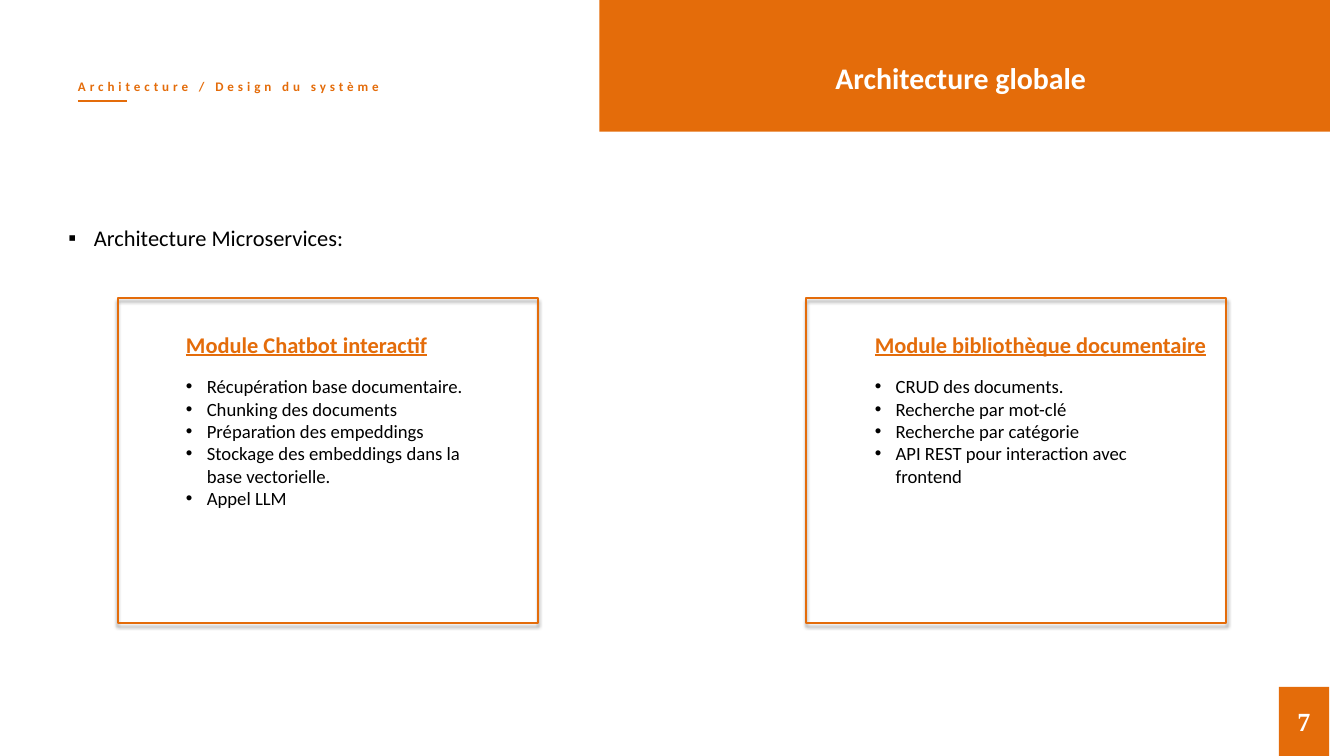
from dataclasses import dataclass
from typing import NamedTuple

from lxml.etree import SubElement
from pptx import Presentation
from pptx.dml.color import RGBColor
from pptx.enum.shapes import MSO_CONNECTOR, MSO_SHAPE
from pptx.enum.text import MSO_ANCHOR as Anchor, MSO_AUTO_SIZE as AutoSize, PP_ALIGN as Align
from pptx.oxml.ns import qn
from pptx.util import Inches, Pt

COLUMNS, ROWS = 80, 45
SLIDE_WIDTH, SLIDE_HEIGHT = Inches(20), Inches(11.25)
COMPARISON_LAYOUT = 4


@dataclass(frozen=True)
class Theme:
    accent: str = "E46C0A"
    ink: str = "000000"
    paper: str = "FFFFFF"
    body_font: str = "Calibri"
    number_font: str = "Times New Roman"
    title: int = 32
    number: int = 28
    heading: int = 24
    item: int = 20
    tag: int = 14


class Area(NamedTuple):
    """A place on the grid, in columns and rows."""
    column: float
    row: float
    columns: float
    rows: float

    def emu(self) -> tuple[int, int, int, int]:
        return (across(self.column), down(self.row), across(self.columns), down(self.rows))


class Bullet(NamedTuple):
    mark: str
    indent: float


@dataclass(frozen=True)
class Module:
    heading: str
    heading_columns: float
    column: float
    items: tuple[str, ...]


THEME = Theme()
SQUARE, DOT = Bullet("▪", 0.38), Bullet("•", 0.31)
MODULES = (
    Module("Module Chatbot interactif", 15.6, 7, (
        "Récupération base documentaire.",
        "Chunking des documents",
        "Préparation des empeddings",
        "Stockage des embeddings dans la base vectorielle.",
        "Appel LLM",
    )),
    Module("Module bibliothèque documentaire", 20.72, 48, (
        "CRUD des documents.",
        "Recherche par mot-clé",
        "Recherche par catégorie",
        "API REST pour interaction avec frontend",
    )),
)


def across(columns: float) -> int:
    return round(SLIDE_WIDTH * columns / COLUMNS)


def down(rows: float) -> int:
    return round(SLIDE_HEIGHT * rows / ROWS)


def color(code: str) -> RGBColor:
    return RGBColor.from_string(code)


def add_bullet(paragraph, bullet: Bullet) -> None:
    properties = paragraph._p.get_or_add_pPr()
    properties.set("marL", str(Inches(bullet.indent)))
    properties.set("indent", str(-Inches(bullet.indent)))
    SubElement(properties, qn("a:buFont"), typeface="Arial")
    SubElement(properties, qn("a:buChar"), char=bullet.mark)


def write(shape, *lines: str, size: int, ink: str = THEME.ink, font: str = THEME.body_font,
          bold: bool = False, underline: bool = False, tracking: float = 0,
          align: Align = Align.LEFT, anchor: Anchor = Anchor.TOP, wrap: bool = True,
          grow: bool = True, margin: float | None = None, bullet: Bullet | None = None) -> None:
    """Fill a shape with one formatted paragraph per line."""
    frame = shape.text_frame
    frame.word_wrap, frame.vertical_anchor = wrap, anchor
    frame.auto_size = AutoSize.SHAPE_TO_FIT_TEXT if grow else AutoSize.NONE
    if margin is not None:
        frame.margin_left = frame.margin_right = Inches(margin)
        frame.margin_top = frame.margin_bottom = Inches(margin)
    for index, line in enumerate(lines):
        paragraph = frame.add_paragraph() if index else frame.paragraphs[0]
        if bullet:
            add_bullet(paragraph, bullet)
        paragraph.alignment = align
        paragraph.space_before = Pt(0)
        run = paragraph.add_run()
        run.text = line
        style = run.font
        style.name, style.size, style.bold = font, Pt(size), bold
        style.underline = underline
        style.color.rgb = color(ink)
        if tracking:
            run._r.get_or_add_rPr().set("spc", str(round(tracking * 100)))


def place(slide, placeholder, area: Area) -> None:
    """Move a placeholder to its area, in front of what is already drawn."""
    placeholder.left, placeholder.top, placeholder.width, placeholder.height = area.emu()
    slide.shapes._spTree.append(placeholder._element)


def add_block(slide, area: Area):
    block = slide.shapes.add_shape(MSO_SHAPE.RECTANGLE, *area.emu())
    block.shadow.inherit = False
    block.fill.solid()
    block.fill.fore_color.rgb = color(THEME.accent)
    block.line.fill.background()
    return block


def add_frame(slide, area: Area) -> None:
    """Draw an outlined box with a soft shadow below."""
    frame = slide.shapes.add_shape(MSO_SHAPE.RECTANGLE, *area.emu())
    frame.shadow.inherit = False
    frame.fill.background()
    frame.line.color.rgb = color(THEME.accent)
    frame.line.width = Pt(2)
    effects = frame._element.spPr.find(qn("a:effectLst"))
    shadow = SubElement(effects, qn("a:outerShdw"), blurRad=str(Pt(4)), dist=str(Pt(3)),
                        dir="5400000", rotWithShape="0")
    tint = SubElement(shadow, qn("a:srgbClr"), val=THEME.ink)
    SubElement(tint, qn("a:alpha"), val="40000")


def add_rule(slide, start: float, end: float, row: float) -> None:
    rule = slide.shapes.add_connector(MSO_CONNECTOR.STRAIGHT, across(start), down(row),
                                      across(end), down(row))
    rule.line.color.rgb = color(THEME.accent)
    rule.line.width = Pt(1.5)
    SubElement(rule._element.spPr, qn("a:effectLst"))


def add_module(slide, module: Module, heading, items) -> None:
    box = Area(module.column, 17.76, 25, 19.32)
    text_column = box.column + 3.67
    add_frame(slide, box)
    place(slide, heading, Area(text_column, box.row + 1.72, module.heading_columns, 2))
    write(heading, module.heading, size=THEME.heading, ink=THEME.accent, bold=True,
          underline=True, wrap=False)
    place(slide, items, Area(text_column, box.row + 4.36, 18.2, 9.68))
    write(items, *module.items, size=THEME.item, bullet=DOT)


def main() -> None:
    deck = Presentation()
    deck.slide_width, deck.slide_height = SLIDE_WIDTH, SLIDE_HEIGHT
    slide = deck.slides.add_slide(deck.slide_layouts[COMPARISON_LAYOUT])
    title, *module_texts = slide.placeholders

    add_rule(slide, 4.64, 7.56, 6)
    section = slide.shapes.add_textbox(*Area(4.64, 4.68, 24, 0.96).emu())
    write(section, "Architecture / Design du système", size=THEME.tag, ink=THEME.accent,
          bold=True, tracking=4.2, margin=0)

    add_block(slide, Area(35.68, 0, 43.48, 7.84))
    place(slide, title, Area(49.32, 3.36, 22.32, 2.56))
    write(title, "Architecture globale", size=THEME.title, ink=THEME.paper, bold=True)

    page = add_block(slide, Area(76.12, 40.88, 3, 4.12))
    write(page, "7", size=THEME.number, ink=THEME.paper, font=THEME.number_font, bold=True,
          align=Align.CENTER, anchor=Anchor.MIDDLE, grow=False)

    intro = slide.shapes.add_textbox(*Area(3.68, 13.16, 40, 2).emu())
    write(intro, "Architecture Microservices:", size=THEME.heading, bullet=SQUARE)

    for module, heading, items in zip(MODULES, module_texts[::2], module_texts[1::2]):
        add_module(slide, module, heading, items)

    deck.save("out.pptx")


if __name__ == "__main__":
    main()
